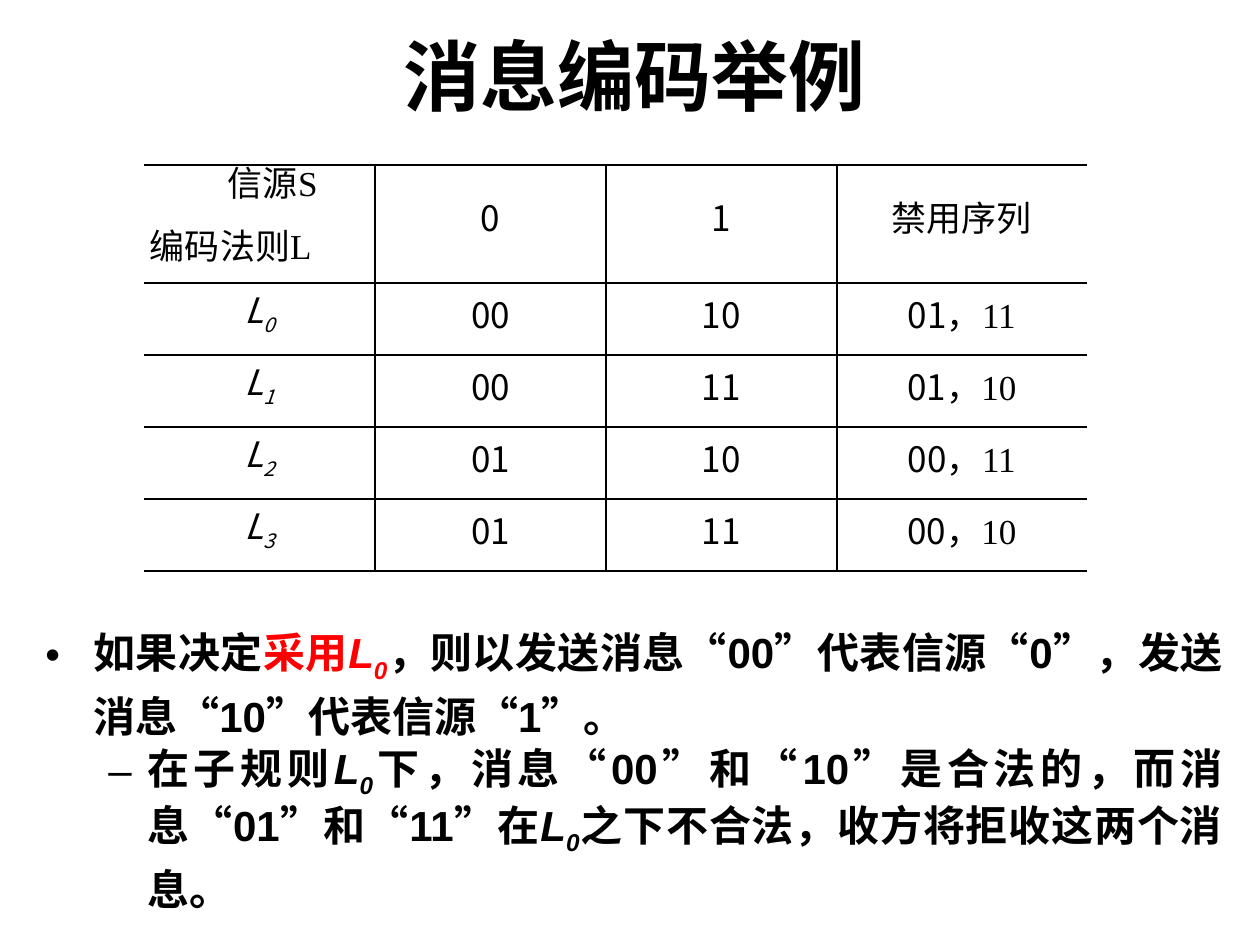
from lxml import etree
from pptx import Presentation
from pptx.dml.color import RGBColor
from pptx.enum.text import MSO_ANCHOR, PP_ALIGN
from pptx.oxml.ns import qn
from pptx.util import Inches, Pt

PX = 7257  # EMU in one px, 126 px to the inch
TOP, MIDDLE = MSO_ANCHOR.TOP, MSO_ANCHOR.MIDDLE
LEFT, CENTER, JUST = PP_ALIGN.LEFT, PP_ALIGN.CENTER, PP_ALIGN.JUSTIFY
BLACK, RED = "000000", "FF0000"
SANS, SERIF = "Noto Sans CJK SC", "Times New Roman"
hue = RGBColor.from_string


def write(par, runs, size, face, align, bold=False):
    """Each run is (text, marks): i italic, s subscript, r red, t serif."""
    par.alignment = align
    par.font.size = Pt(size)
    par.font.bold = bold
    par.font.name = face
    par.font.color.rgb = hue(BLACK)
    for text, marks in runs:
        run = par.add_run()
        run.text = text
        if "i" in marks:
            run.font.italic = True
        if "s" in marks:
            run._r.get_or_add_rPr().set("baseline", "-25000")
        if "r" in marks:
            run.font.color.rgb = hue(RED)
        if "t" in marks:
            run.font.name = SERIF


def edge(cell, side, width):
    """Draw one border of a cell; width 0 leaves it out."""
    line = etree.SubElement(cell._tc.get_or_add_tcPr(), qn("a:ln" + side))
    if width:
        line.set("w", str(Pt(width)))
        fill = etree.SubElement(line, qn("a:solidFill"))
        etree.SubElement(fill, qn("a:srgbClr"), val=BLACK)
    else:
        etree.SubElement(line, qn("a:noFill"))


deck = Presentation()
deck.slide_width, deck.slide_height = Inches(10), Inches(7.5)
slide = deck.slides.add_slide(deck.slide_layouts[5])

# Title
title = slide.shapes.title
title.left, title.top = 93 * PX, 16 * PX
title.width, title.height = 1084 * PX, 118 * PX
title.text_frame.vertical_anchor = MIDDLE
write(title.text_frame.paragraphs[0], [("消息编码举例", "")],
      44, "Calibri", CENTER, True)

# Coding table
codes = [("00", "10", "01", "，11"), ("00", "11", "01", "，10"),
         ("01", "10", "00", "，11"), ("01", "11", "00", "，10")]
rows = [[[], [("0", "")], [("1", "")], [("禁用序列", "t")]]]
for num, (zero, one, bad, rest) in enumerate(codes):
    rows.append([[("L", "i"), (str(num), "is")], [(zero, "")], [(one, "")],
                 [(bad, ""), (rest, "t")]])
widths, heights = [231, 231, 231, 250], [118] + [72] * 4
table = slide.shapes.add_table(
    5, 4, 144 * PX, 165 * PX, sum(widths) * PX, sum(heights) * PX).table
table.first_row = table.horz_banding = False
for col, width in zip(table.columns, widths):
    col.width = width * PX
for row, height in zip(table.rows, heights):
    row.height = height * PX

for r, row in enumerate(rows):
    for c, runs in enumerate(row):
        cell = table.cell(r, c)
        cell.margin_left = cell.margin_right = 6 * PX
        cell.margin_top = Pt(0) if r else Pt(22)
        cell.margin_bottom = 0
        cell.vertical_anchor = MIDDLE if r else TOP
        edge(cell, "L", 1 if c else 0)
        edge(cell, "R", 1 if c < 3 else 0)
        edge(cell, "T", 1 if r else 1.5)
        edge(cell, "B", 1 if r < 4 else 1.5)
        cell.fill.background()
        if runs:
            par = cell.text_frame.paragraphs[0]
            par.line_spacing = Pt(22)
            write(par, runs, 20, SANS, CENTER)

# Corner cell names both axes
corner = table.cell(0, 0)
corner.margin_top = Pt(12)
source = corner.text_frame.paragraphs[0]
source._p.get_or_add_pPr().set("indent", str(78 * PX))
rule = corner.text_frame.add_paragraph()
rule.space_before = Pt(24)
for par, text in ((source, "信源S"), (rule, "编码法则L")):
    par.line_spacing = Pt(12)
    write(par, [(text, "")], 20, SERIF, LEFT)

# Explanation
points = [
    (0, "•", 48, -48, [
        ("如果决定", ""), ("采用", "r"), ("L", "ri"), ("0", "ris"),
        ("，则以发送消息“00”代表信源“0”，发送消息“10”代表信源“1”。", "")]),
    (1, "–", 102, -39, [
        ("在子规则", ""), ("L", "i"), ("0", "is"),
        ("下，消息“00”和“10”是合法的，而消息“01”和“11”在", ""),
        ("L", "i"), ("0", "is"),
        ("之下不合法，收方将拒收这两个消息。", "")]),
]
frame = slide.shapes.add_textbox(
    33 * PX, 621 * PX, 1202 * PX, 248 * PX).text_frame
frame.word_wrap = True
for level, mark, margin, indent, runs in points:
    par = frame.add_paragraph() if level else frame.paragraphs[0]
    par.level = level
    par.line_spacing = Pt(32.5)
    if level:
        par.space_before = Pt(1)
    props = par._p.get_or_add_pPr()
    props.set("marL", str(margin * PX))
    props.set("indent", str(indent * PX))
    etree.SubElement(props, qn("a:buFont"), typeface="Arial")
    etree.SubElement(props, qn("a:buChar"), char=mark)
    write(par, runs, 24, "Arial", JUST, True)

deck.save("out.pptx")
